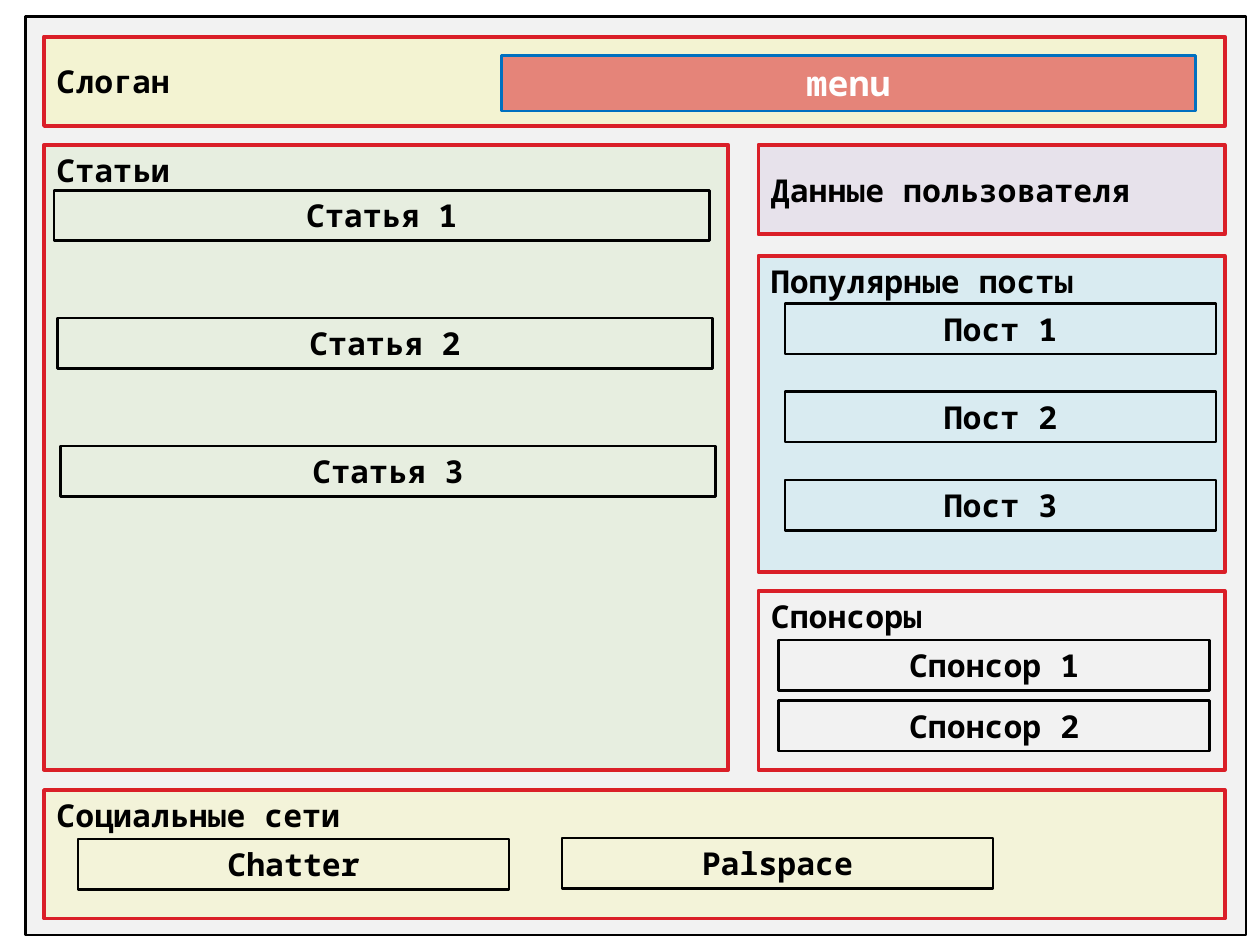
from dataclasses import dataclass

from lxml.etree import SubElement
from pptx import Presentation
from pptx.dml.color import RGBColor
from pptx.enum.shapes import MSO_SHAPE
from pptx.enum.text import MSO_ANCHOR, MSO_AUTO_SIZE, PP_ALIGN
from pptx.oxml.ns import qn
from pptx.util import Inches, Pt


@dataclass(frozen=True)
class Theme:
    font: str = "Noto Sans Mono"
    label_size: int = 18
    menu_size: int = 20
    thin: float = 1.5
    thick: float = 2.25
    black: str = "000000"
    white: str = "FFFFFF"
    page: str = "F2F2F2"
    red: str = "DA1F28"
    blue: str = "0070C0"
    yellow: str = "FFFF00"
    green: str = "92D050"
    purple: str = "7030A0"
    sky: str = "00B0F0"


THEME = Theme()

prs = Presentation()
prs.slide_width, prs.slide_height = Inches(10), Inches(7.5)
slide = prs.slides.add_slide(prs.slide_layouts[6])


def add_box(left, top, width, height, fill, opacity, line, weight):
    box = slide.shapes.add_shape(MSO_SHAPE.RECTANGLE, Inches(left), Inches(top),
                                 Inches(width), Inches(height))
    box.shadow.inherit = False
    if fill:
        box.fill.solid()
        box.fill.fore_color.rgb = RGBColor.from_string(fill)
        if opacity < 100:
            color = box.fill._xPr.find(qn("a:solidFill"))[0]
            SubElement(color, qn("a:alpha")).set("val", str(opacity * 1000))
    else:
        box.fill.background()
    box.line.color.rgb = RGBColor.from_string(line)
    box.line.width = Pt(weight)
    return box


def write(box, text, align, anchor, color=THEME.black, size=THEME.label_size):
    frame = box.text_frame
    frame.text = text
    frame.word_wrap = True
    frame.vertical_anchor = anchor
    frame.paragraphs[0].alignment = align
    font = frame.paragraphs[0].runs[0].font
    font.name, font.size, font.bold = THEME.font, Pt(size), True
    font.color.rgb = RGBColor.from_string(color)


# Page background
add_box(0.2, 0.13, 9.69, 7.29, THEME.page, 100, THEME.black, THEME.thin)

# Page sections: label, left, top, width, height, fill, opacity, anchor
left_edge, side_edge = 0.35, 6.02
full_width, main_width, side_width = 9.37, 5.43, 3.7
TOP, MIDDLE = MSO_ANCHOR.TOP, MSO_ANCHOR.MIDDLE
sections = [
    ("Социальные сети", left_edge, 6.27, full_width, 1.02, THEME.yellow, 10, TOP),
    ("Слоган", left_edge, 0.29, full_width, 0.71, THEME.yellow, 13, MIDDLE),
    ("Статьи", left_edge, 1.15, main_width, 4.96, THEME.green, 11, TOP),
    ("Данные пользователя", side_edge, 1.15, side_width, 0.71, THEME.purple, 8, MIDDLE),
    ("Популярные посты", side_edge, 2.03, side_width, 2.51, THEME.sky, 10, TOP),
    ("Спонсоры", side_edge, 4.69, side_width, 1.42, None, 100, TOP),
]
for label, left, top, width, height, fill, opacity, anchor in sections:
    section = add_box(left, top, width, height, fill, opacity, THEME.red, THEME.thick)
    write(section, label, PP_ALIGN.LEFT, anchor)

# Menu in the header
menu = add_box(3.98, 0.44, 5.51, 0.44, THEME.red, 52, THEME.blue, THEME.thin)
write(menu, "menu", PP_ALIGN.CENTER, TOP, THEME.white, THEME.menu_size)
menu.text_frame.auto_size = MSO_AUTO_SIZE.SHAPE_TO_FIT_TEXT

# Items in the sections: labels, first left, first top, width, step right, step down
item_groups = [
    (["Пост 1", "Пост 2", "Пост 3"], 6.23, 2.41, 3.42, 0, 0.7),
    (["Статья 1", "Статья 2", "Статья 3"], 0.43, 1.51, 5.2, 0.025, 1.015),
    (["Chatter", "Palspace"], 0.62, 6.66, 3.42, 3.84, -0.01),
    (["Спонсор 1", "Спонсор 2"], 6.18, 5.08, 3.42, 0, 0.48),
]
for labels, left, top, width, step_right, step_down in item_groups:
    for i, label in enumerate(labels):
        item = add_box(left + i * step_right, top + i * step_down, width, 0.4,
                       None, 100, THEME.black, THEME.thin)
        write(item, label, PP_ALIGN.CENTER, TOP)
        item.text_frame.auto_size = MSO_AUTO_SIZE.SHAPE_TO_FIT_TEXT

prs.save("out.pptx")
